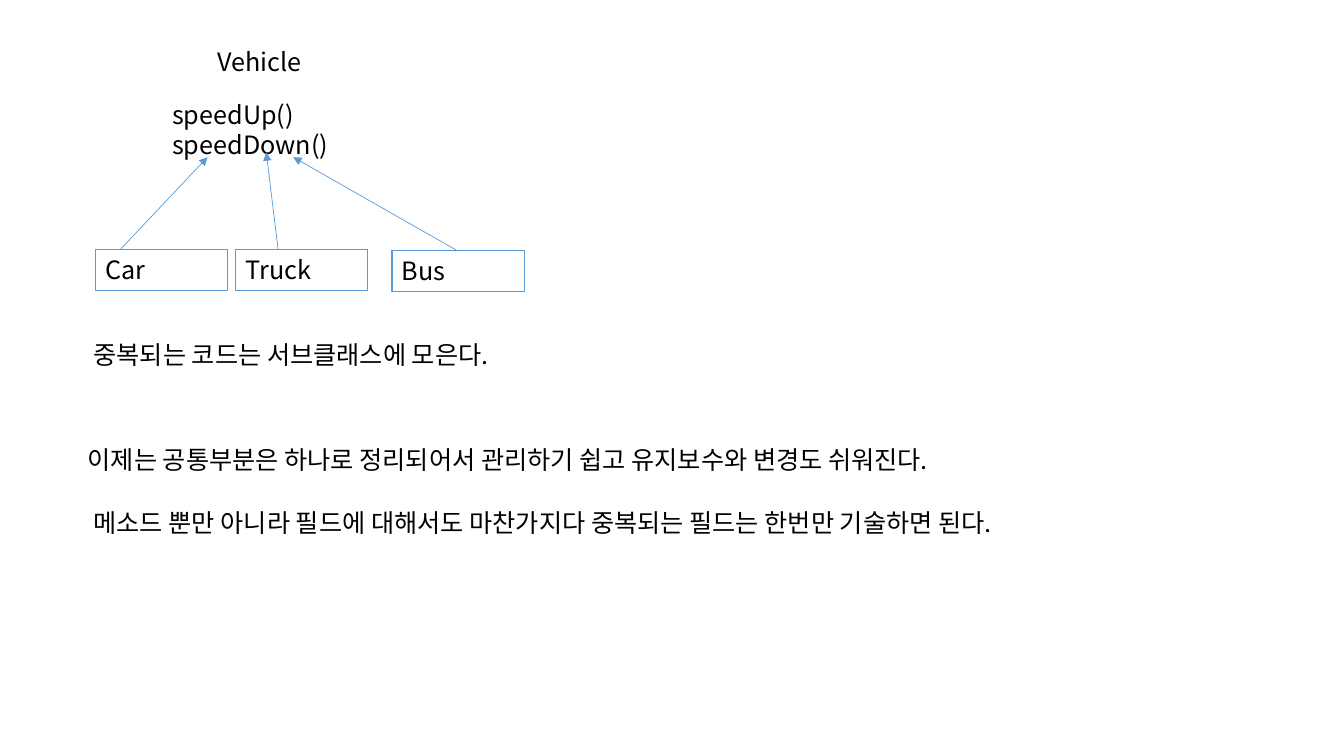
from lxml.etree import SubElement
from pptx import Presentation
from pptx.dml.color import RGBColor
from pptx.enum.shapes import MSO_CONNECTOR, MSO_SHAPE
from pptx.enum.text import MSO_ANCHOR, PP_ALIGN
from pptx.oxml.ns import qn
from pptx.util import Cm, Pt

FONT = "Noto Sans CJK KR"
BLACK = "000000"
BLUE = "5B9BD5"
LINE_HEIGHT = 1.02


def color(value):
    return RGBColor.from_string(value)


def write(sp, text):
    tf = sp.text_frame
    tf.word_wrap = True
    tf.vertical_anchor = MSO_ANCHOR.TOP
    tf.text = text
    for p in tf.paragraphs:
        p.alignment = PP_ALIGN.LEFT
        p.line_spacing = Pt(21.5)
        for r in p.runs:
            r.font.size = Pt(18)
            r.font.name = FONT
            r.font.color.rgb = color(BLACK)
            SubElement(r.font._element, qn("a:ea")).set("typeface", FONT)


def add_text(slide, text, left, top, width, height=LINE_HEIGHT):
    sp = slide.shapes.add_textbox(Cm(left), Cm(top), Cm(width), Cm(height))
    write(sp, text)


def add_class_box(slide, text, left, top):
    sp = slide.shapes.add_shape(
        MSO_SHAPE.RECTANGLE, Cm(left), Cm(top), Cm(3.33), Cm(LINE_HEIGHT))
    sp.shadow.inherit = False
    sp.fill.background()
    sp.line.color.rgb = color(BLUE)
    sp.line.width = Pt(0.75)
    write(sp, text)


def add_arrow(slide, x1, y1, x2, y2):
    arrow = slide.shapes.add_connector(
        MSO_CONNECTOR.STRAIGHT, Cm(x1), Cm(y1), Cm(x2), Cm(y2))
    arrow.line.color.rgb = color(BLUE)
    arrow.line.width = Pt(0.5)
    SubElement(arrow.line._get_or_add_ln(), qn("a:tailEnd")).set("type", "triangle")
    SubElement(arrow._element.spPr, qn("a:effectLst"))


def add_class_diagram(slide, left, top):
    add_text(slide, "Vehicle", left + 2.82, top, 3.51)
    add_text(slide, "speedUp()\nspeedDown()", left + 1.68, top + 1.35, 8.03, 1.8)
    subclasses = [
        ("Car", 0, 5.26, 0.61, 2.82, 2.92),
        ("Truck", 3.53, 5.26, 4.6, 4.3, 2.8),
        ("Bus", 7.47, 5.28, 9.12, 4.98, 2.92),
    ]
    for name, x, y, start_x, tip_x, tip_y in subclasses:
        add_class_box(slide, name, left + x, top + y)
        add_arrow(slide, left + start_x, top + y, left + tip_x, top + tip_y)


def add_notes_text(slide, left, top):
    sentences = [
        ("중복되는 코드는 서브클래스에 모은다.", 0.15, 0, 14.5),
        ("이제는 공통부분은 하나로 정리되어서 관리하기 쉽고 유지보수와 변경도 쉬워진다.",
         0, 2.64, 24.03),
        ("메소드 뿐만 아니라 필드에 대해서도 마찬가지다 중복되는 필드는 한번만 기술하면 된다.",
         0.15, 4.24, 25.98),
    ]
    for text, x, y, width in sentences:
        add_text(slide, text, left + x, top + y, width)


def main():
    prs = Presentation()
    prs.slide_width = Cm(33.87)
    prs.slide_height = Cm(19.05)
    slide = prs.slides.add_slide(prs.slide_layouts[6])
    add_class_diagram(slide, 2.41, 1.04)
    add_notes_text(slide, 1.96, 8.43)
    prs.save("out.pptx")


if __name__ == "__main__":
    main()
